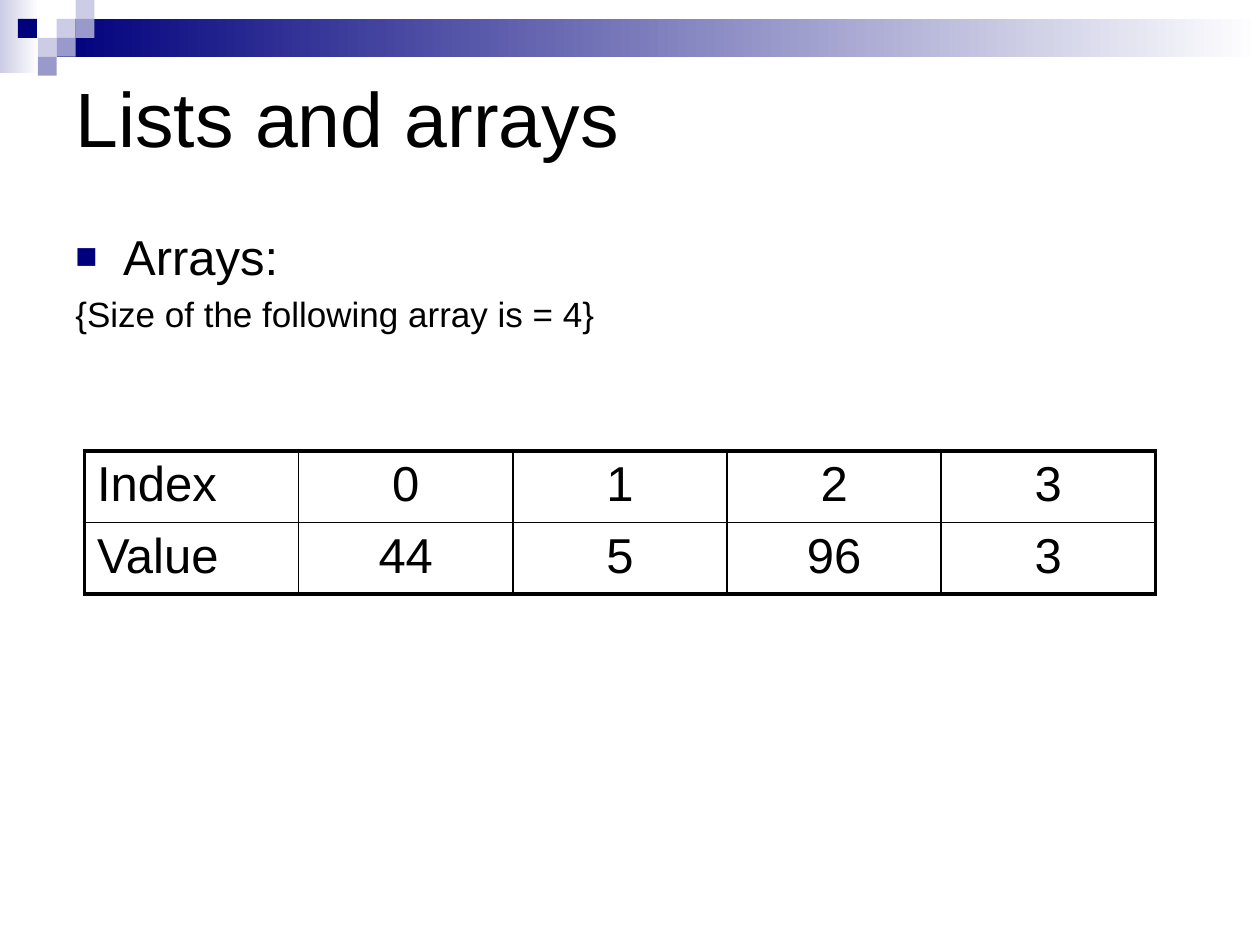
import pptx
import pptx.dml.color
import pptx.enum.shapes
import pptx.enum.text
import pptx.oxml
import pptx.oxml.ns
import pptx.util
from pptx.util import Inches

NAVY, LAVENDER, PERIWINKLE = "00007D", "CCCCE6", "9999CC"
BLACK, WHITE = "000000", "FFFFFF"
THICK, THIN = 2.25, 1
TILE = 0.15


def rgb(value):
    return pptx.dml.color.RGBColor.from_string(value)


def append_xml(parent, fragment):
    namespace = pptx.oxml.ns.nsdecls("a")
    parent.append(pptx.oxml.parse_xml(f"<a:wrap {namespace}>{fragment}</a:wrap>")[0])


def style_paragraph(paragraph, size):
    paragraph.font.size = pptx.util.Pt(size)
    paragraph.font.name = "Arial"
    paragraph.font.color.rgb = rgb(BLACK)


def space_before(paragraph, percent):
    """Add spacing relative to the line; call before adding any bullet."""
    append_xml(paragraph._p.get_or_add_pPr(),
               f'<a:spcBef><a:spcPct val="{percent * 1000}"/></a:spcBef>')


def add_block(slide, left, top, width, height, color, fade_to=None):
    block = slide.shapes.add_shape(
        pptx.enum.shapes.MSO_SHAPE.RECTANGLE,
        Inches(left), Inches(top), Inches(width), Inches(height))
    block.shadow.inherit = False
    block.line.fill.background()
    if fade_to:
        block.fill.gradient()
        block.fill.gradient_angle = 0
        for stop, stop_color in zip(block.fill.gradient_stops, (color, fade_to)):
            stop.color.rgb = rgb(stop_color)
    else:
        block.fill.solid()
        block.fill.fore_color.rgb = rgb(color)


def add_banner(slide, left, top, width):
    add_block(slide, left, top, 0.31, 0.58, LAVENDER, WHITE)
    add_block(slide, left + 3 * TILE, top + TILE, width - 3 * TILE, 2 * TILE, NAVY, WHITE)
    tiles = [(3, 1, LAVENDER), (4, 0, LAVENDER), (4, 1, PERIWINKLE), (2, 2, LAVENDER),
             (0.95, 1, NAVY), (3, 2, PERIWINKLE), (2, 3, PERIWINKLE)]
    for column, row, color in tiles:
        add_block(slide, left + column * TILE, top + row * TILE, TILE, TILE, color)


def place_title(slide, left, top, width, height, wording):
    title = slide.shapes.title
    title.left, title.top = Inches(left), Inches(top)
    title.width, title.height = Inches(width), Inches(height)
    title.text_frame.text = wording
    title.text_frame.vertical_anchor = pptx.enum.text.MSO_ANCHOR.MIDDLE
    paragraph = title.text_frame.paragraphs[0]
    paragraph.alignment = pptx.enum.text.PP_ALIGN.LEFT
    style_paragraph(paragraph, 44)


def add_body(slide, left, top, width, height, heading, remark):
    body = slide.shapes.add_textbox(
        Inches(left), Inches(top), Inches(width), Inches(height)).text_frame
    body.word_wrap = True
    body.text = f"{heading}\n{remark}"
    for paragraph, size in zip(body.paragraphs, (28, 20)):
        style_paragraph(paragraph, size)
        space_before(paragraph, 20)
        properties = paragraph._p.get_or_add_pPr()
        properties.set("marL", str(Inches(0.38)))
        properties.set("indent", str(-Inches(0.38)))
    bullet = body.paragraphs[0]._p.get_or_add_pPr()
    for fragment in (f'<a:buClr><a:srgbClr val="{NAVY}"/></a:buClr>',
                     '<a:buSzPct val="75000"/>',
                     '<a:buFont typeface="Arial"/>',
                     '<a:buChar char="■"/>'):
        append_xml(bullet, fragment)


def set_borders(cell, widths):
    """Draw black borders; widths holds left, right, top and bottom in points."""
    properties = cell._tc.get_or_add_tcPr()
    for position, (side, width) in enumerate(zip("LRTB", widths)):
        append_xml(properties,
                   f'<a:ln{side} w="{pptx.util.Pt(width)}"><a:solidFill>'
                   f'<a:srgbClr val="{BLACK}"/></a:solidFill></a:ln{side}>')
        properties.insert(position, properties[-1])


def add_array_table(slide, left, top, width, height, rows):
    row_count, column_count = len(rows), len(rows[0])
    table = slide.shapes.add_table(
        row_count, column_count,
        Inches(left), Inches(top), Inches(width), Inches(height)).table
    table.first_row = table.horz_banding = False
    for r, row in enumerate(rows):
        for c, wording in enumerate(row):
            cell = table.cell(r, c)
            cell.text_frame.text = wording
            cell.fill.background()
            paragraph = cell.text_frame.paragraphs[0]
            style_paragraph(paragraph, 28)
            space_before(paragraph, 20)
            if c > 0:
                paragraph.alignment = pptx.enum.text.PP_ALIGN.CENTER
            on_edge = (c == 0, c == column_count - 1, r == 0, r == row_count - 1)
            set_borders(cell, [THICK if edge else THIN for edge in on_edge])


def main():
    presentation = pptx.Presentation()
    presentation.slide_width, presentation.slide_height = Inches(10), Inches(7.5)
    slide = presentation.slides.add_slide(presentation.slide_layouts.get_by_name("Title Only"))
    add_banner(slide, 0, 0, 10)
    place_title(slide, 0.5, 0.3, 9, 1.25, "Lists and arrays")
    add_body(slide, 0.5, 1.75, 9, 1.58, "Arrays:", "{Size of the following array is = 4}")
    add_array_table(slide, 0.67, 3.58, 8.5, 1.13,
                    [["Index", "0", "1", "2", "3"],
                     ["Value", "44", "5", "96", "3"]])
    presentation.save("out.pptx")


if __name__ == "__main__":
    main()
